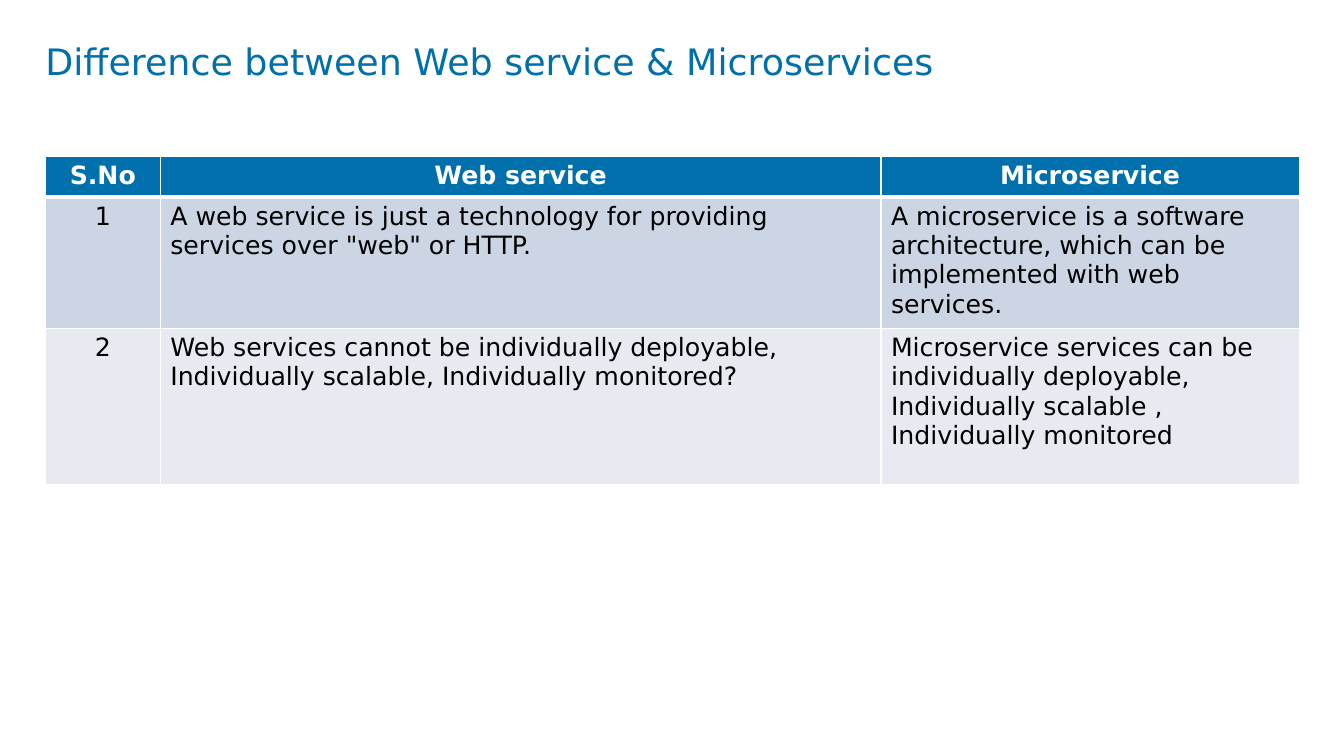
from pptx import Presentation, util as u
from pptx.dml.color import RGBColor
from pptx.enum import text
from pptx.oxml import parse_xml
from pptx.oxml.ns import nsdecls

BLUE, WHITE, BLACK = "0070AD", "FFFFFF", "000000"
BANDS = ["CCD5E3", "E7EBF1"]

WIDTHS = [82.1, 514.8, 298.8]
HEIGHTS = [29.2, 90.7, 112]
ROWS = [
    ["S.No", "Web service", "Microservice"],
    ["1",
     'A web service is just a technology for providing services over "web" or HTTP.',
     "A microservice is a software architecture, which can be implemented with web services."],
    ["2",
     "Web services cannot be individually deployable, Individually scalable, Individually monitored?",
     "Microservice services can be individually deployable, Individually scalable , "
     "Individually monitored"],
]


def color(code):
    return RGBColor.from_string(code)


class Deck:
    face = "DejaVu Sans"

    def __init__(self, wide, high):
        self.prs = Presentation()
        self.prs.slide_width, self.prs.slide_height = u.Pt(wide), u.Pt(high)
        self.slide = self.prs.slides.add_slide(self.prs.slide_layouts[6])

    def style(self, para, size, code, bold=False):
        font = para.font
        font.name, font.size, font.bold = self.face, u.Pt(size), bold
        font.color.rgb = color(code)

    def title(self, words, *box):
        frame = self.slide.shapes.add_textbox(*map(u.Pt, box)).text_frame
        frame.word_wrap = True
        frame.margin_left = frame.margin_right = 0
        frame.margin_top = frame.margin_bottom = 0
        para = frame.paragraphs[0]
        para.text = words
        para.line_spacing = 0.9
        self.style(para, 26, BLUE)

    def border(self, cell, side, width):
        cell._tc.get_or_add_tcPr().append(parse_xml(
            f'<a:ln{side} {nsdecls("a")} w="{u.Pt(width)}"><a:solidFill>'
            f'<a:srgbClr val="{WHITE}"/></a:solidFill></a:ln{side}>'))

    def cell(self, cell, words, row, col):
        head = row == 0
        # Borders go in before the fill; the header has a thick lower rule
        for side in "LRTB":
            thick = (head and side == "B") or (row == 1 and side == "T")
            self.border(cell, side, 3 if thick else 1)
        cell.fill.solid()
        cell.fill.fore_color.rgb = color(BLUE if head else BANDS[(row - 1) % 2])
        para = cell.text_frame.paragraphs[0]
        para.text = words
        if head or col == 0:
            para.alignment = text.PP_ALIGN.CENTER
        self.style(para, 18, WHITE if head else BLACK, head)

    def table(self, rows, widths, heights, left, top):
        box = left, top, sum(widths), sum(heights)
        grid = self.slide.shapes.add_table(
            len(rows), len(widths), *map(u.Pt, box)).table
        for col, width in zip(grid.columns, widths):
            col.width = u.Pt(width)
        for row, high in zip(grid.rows, heights):
            row.height = u.Pt(high)
        for r, row in enumerate(rows):
            for c, words in enumerate(row):
                self.cell(grid.cell(r, c), words, r, c)


def main():
    deck = Deck(960, 540)
    # Heading
    deck.title("Difference between Web service & Microservices",
               32.4, 31.7, 867.6, 67.7)
    # Comparison table
    deck.table(ROWS, WIDTHS, HEIGHTS, 32.4, 111.6)
    deck.prs.save("out.pptx")


if __name__ == "__main__":
    main()
